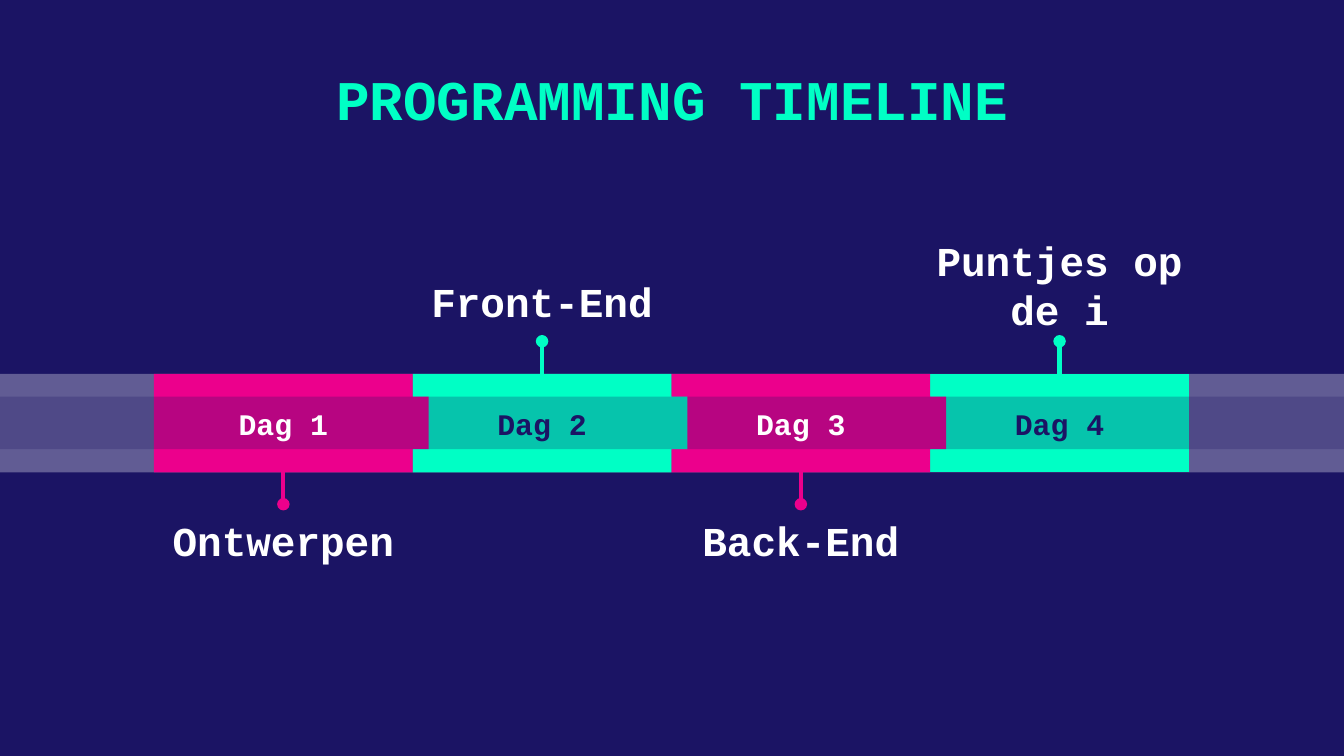
from lxml import etree
from pptx import Presentation
from pptx.dml.color import RGBColor
from pptx.enum.shapes import MSO_CONNECTOR
from pptx.enum.text import MSO_ANCHOR, PP_ALIGN
from pptx.oxml.ns import qn
from pptx.util import Cm, Pt

STRAIGHT = MSO_CONNECTOR.STRAIGHT
CENTER = PP_ALIGN.CENTER
TOP = MSO_ANCHOR.TOP

NAVY = RGBColor(0x1B, 0x14, 0x64)
MINT = RGBColor(0x00, 0xFF, 0xC5)
PINK = RGBColor(0xEC, 0x00, 0x8C)
WHITE = RGBColor(0xFF, 0xFF, 0xFF)
FONT = "Courier New"

# Timeline grid, in centimetres
SLIDE_W, SLIDE_H = 25.4, 14.29
BAR_TOP, BAR_BOTTOM = 7.07, 8.93
BAND_TOP, BAND_BOTTOM = 7.5, 8.49
FIRST_X, STEP, NOTCH = 2.91, 4.89, 0.3

prs = Presentation()
prs.slide_width, prs.slide_height = Cm(SLIDE_W), Cm(SLIDE_H)
s = prs.slides.add_slide(prs.slide_layouts[6])
s.background.fill.solid()
s.background.fill.fore_color.rgb = NAVY


def add_outline(points, color, opacity=100):
    """Draw a closed polygon through points in cm; opacity is in percent."""
    points = [(Cm(x), Cm(y)) for x, y in points]
    builder = s.shapes.build_freeform(*points[0])
    builder.add_line_segments(points[1:], close=True)
    sp = builder.convert_to_shape()
    sp.shadow.inherit = False
    sp.line.fill.background()
    sp.fill.solid()
    sp.fill.fore_color.rgb = color
    if opacity < 100:
        clr = sp.fill._xPr.find(".//" + qn("a:srgbClr"))
        etree.SubElement(clr, qn("a:alpha"), val=str(opacity * 1000))


def add_text(text, x, y, w, h, size, color, inset_y=0.25):
    sp = s.shapes.add_textbox(Cm(x), Cm(y), Cm(w), Cm(h))
    tf = sp.text_frame
    tf.word_wrap = True
    tf.vertical_anchor = TOP
    tf.margin_left = tf.margin_right = Cm(0.25)
    tf.margin_top = tf.margin_bottom = Cm(inset_y)
    p = tf.paragraphs[0]
    p.alignment = CENTER
    r = p.add_run()
    r.text = text
    r.font.name, r.font.size, r.font.bold = FONT, Pt(size), True
    r.font.color.rgb = color


# Day, task, segment colour, day text colour, top of task label
days = [
    ("Dag 1", "Ontwerpen", PINK, WHITE, 9.75),
    ("Dag 2", "Front-End", MINT, NAVY, 5.23),
    ("Dag 3", "Back-End", PINK, WHITE, 9.75),
    ("Dag 4", "Puntjes op de i", MINT, NAVY, 4.45),
]

add_outline([(0, BAR_TOP), (0, BAR_BOTTOM), (SLIDE_W, BAR_BOTTOM), (SLIDE_W, BAR_TOP)],
            WHITE, 31)

# Right to left, so each tab lies over the next segment
for i in reversed(range(len(days))):
    left = FIRST_X + i * STEP
    right = left + STEP
    tab = [(right, BAND_BOTTOM), (right + NOTCH, BAND_BOTTOM),
           (right + NOTCH, BAND_TOP), (right, BAND_TOP)]
    if i == len(days) - 1:
        tab = []
    add_outline([(left, BAR_TOP), (left, BAR_BOTTOM), (right, BAR_BOTTOM),
                 *tab, (right, BAR_TOP)], days[i][2])

add_outline([(0, BAND_TOP), (0, BAND_BOTTOM), (SLIDE_W, BAND_BOTTOM), (SLIDE_W, BAND_TOP)],
            NAVY, 25)

add_text("PROGRAMMING TIMELINE", 3.56, 0.97, 18.29, 1.85, 30, MINT)

for i, (day, task, color, day_color, task_y) in enumerate(days):
    mid = FIRST_X + (i + 0.5) * STEP
    add_text(day, mid - 2.17, 7.42, 4.34, 0.99, 16, day_color)
    add_text(task, mid - 2.93, task_y, 5.86, 0.99, 22, WHITE, inset_y=0)

    dot_y, bar_y = (6.45, 7.09) if task_y < BAR_TOP else (9.53, 8.89)
    pin = s.shapes.add_connector(STRAIGHT, Cm(mid), Cm(dot_y), Cm(mid), Cm(bar_y))
    pin.line.color.rgb = color
    pin.line.width = Pt(2.25)
    etree.SubElement(pin.line._get_or_add_ln(), qn("a:headEnd"), type="oval")
    etree.SubElement(pin._element.spPr, qn("a:effectLst"))

prs.save("out.pptx")
